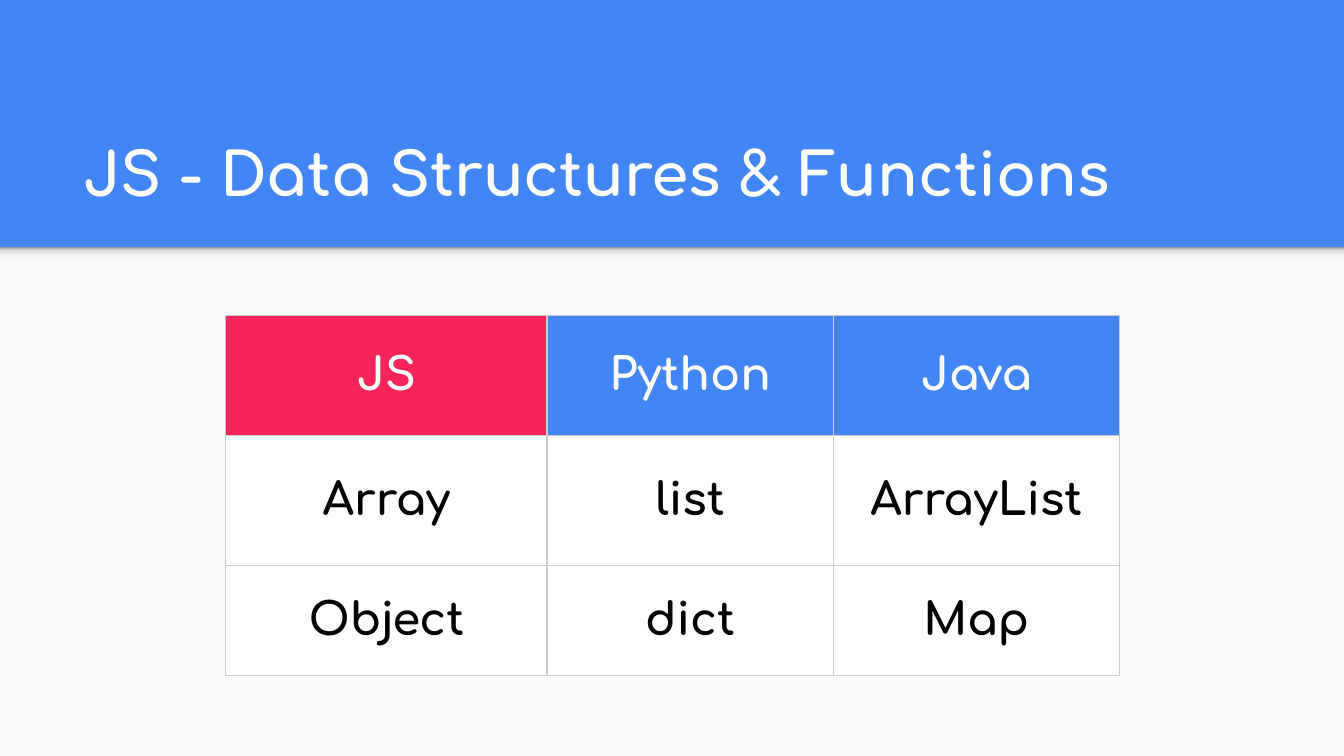
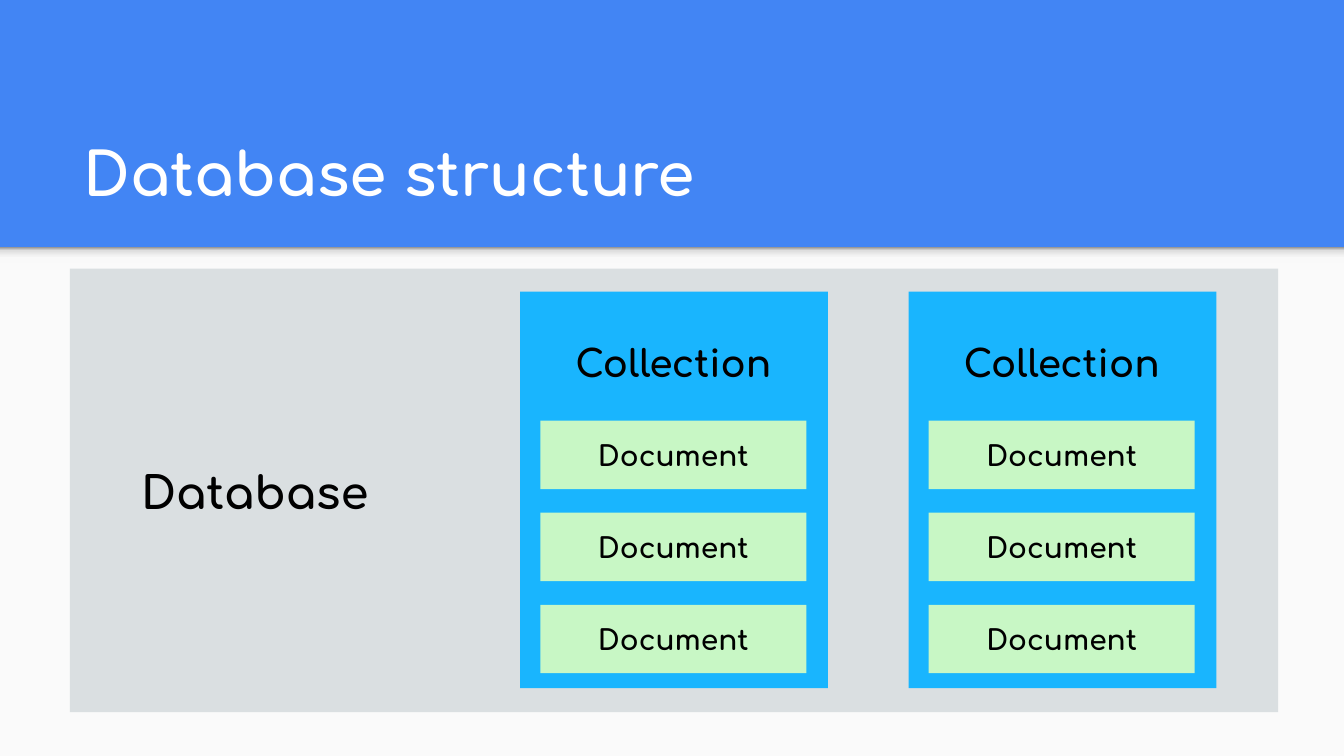
"""Build two slides: a table of data structures and a nested database diagram."""
import pptx
import pptx.dml.color
import pptx.enum.shapes
import pptx.enum.text
import pptx.oxml
import pptx.oxml.ns
import pptx.util
import lxml.etree

WIDE = 10
HIGH = WIDE * 9 / 16
FONT = "Comfortaa"
HUE = {
    "blue": "4285F4", "paper": "FAFAFA", "white": "FFFFFF", "black": "000000",
    "red": "F62459", "line": "CCCCCC", "grey": "DADFE1", "sky": "19B5FE",
    "green": "C8F7C5",
}
SHADE = [(0, "F9F9F9"), (36, "F9F9F9"), (80, "DEDEDE"), (100, "999999")]
TITLES = ["JS - Data Structures & Functions", "Database structure"]

ROWS = [
    ["JS", "Python", "Java"],
    ["Array", "list", "ArrayList"],
    ["Object", "dict", "Map"],
]
HEADS = ["red", "blue", "blue"]
COLS = [2.39, 2.13, 2.13]
TALL = [0.89, 0.97, 0.82]

GROUPS = [("Collection", ["Document"] * 3)] * 2
LEFT, SPAN = 0.52, 8.99
BAND = 1.84
PAD = 0.15
FIRST, LAST = 3.13, 4.5

inch = pptx.util.Inches
ALIGN = pptx.enum.text.PP_ALIGN
ANCHOR = pptx.enum.text.MSO_ANCHOR
RECT = pptx.enum.shapes.MSO_SHAPE.RECTANGLE


def tint(name):
    return pptx.dml.color.RGBColor.from_string(HUE[name])


def style(frame, text, size, hue, align):
    frame.text = text
    para = frame.paragraphs[0]
    para.alignment = align
    for run in para.runs:
        run.font.name = FONT
        run.font.size = pptx.util.Pt(size)
        run.font.bold = True
        run.font.color.rgb = tint(hue)


def inset(part):
    part.margin_left = part.margin_right = inch(0.1)
    part.margin_top = part.margin_bottom = inch(0.1)
    part.vertical_anchor = ANCHOR.MIDDLE


def label(shape, text, size):
    frame = shape.text_frame
    frame.word_wrap = True
    inset(frame)
    style(frame, text, size, "black", ALIGN.CENTER)


def box(slide, at, hue):
    shape = slide.shapes.add_shape(RECT, *map(inch, at))
    shape.shadow.inherit = False
    shape.fill.solid()
    shape.fill.fore_color.rgb = tint(hue)
    shape.line.fill.background()
    return shape


def note(slide, at, text, size):
    label(slide.shapes.add_textbox(*map(inch, at)), text, size)


def fade(shape):
    shape.fill.gradient()
    shape.fill.gradient_angle = 90
    name = pptx.oxml.ns.qn
    stops = shape.element.spPr.find(".//" + name("a:gsLst"))
    for stop in list(stops):
        stops.remove(stop)
    for place, code in SHADE:
        stop = lxml.etree.SubElement(stops, name("a:gs"), pos=str(place * 1000))
        lxml.etree.SubElement(stop, name("a:srgbClr"), val=code)


def start(deck, title):
    slide = deck.slides.add_slide(deck.slide_layouts[5])
    slide.background.fill.solid()
    slide.background.fill.fore_color.rgb = tint("blue")
    box(slide, (0, BAND, WIDE, HIGH - BAND), "paper")
    fade(box(slide, (0, BAND, WIDE, 0.12), "paper"))
    head = slide.shapes.title
    head.left, head.top, head.width, head.height = map(inch, (LEFT, 0.81, SPAN, 0.84))
    frame = head.text_frame
    inset(frame)
    frame.vertical_anchor = ANCHOR.BOTTOM
    frame.auto_size = pptx.enum.text.MSO_AUTO_SIZE.NONE
    style(frame, title, 32, "white", ALIGN.LEFT)
    return slide


def edge(cell):
    props = cell._tc.get_or_add_tcPr()
    for spot, side in enumerate("LRTB"):
        props.insert(spot, pptx.oxml.parse_xml(
            f'<a:ln{side} {pptx.oxml.ns.nsdecls("a")} w="9525"><a:solidFill>'
            f'<a:srgbClr val="{HUE["line"]}"/></a:solidFill></a:ln{side}>'))


def grid(slide):
    at = (1.68, 2.35, sum(COLS), sum(TALL))
    table = slide.shapes.add_table(len(ROWS), len(COLS), *map(inch, at)).table
    table.first_row = table.horz_banding = False
    for col, width in zip(table.columns, COLS):
        col.width = inch(width)
    for i, (row, height) in enumerate(zip(table.rows, TALL)):
        row.height = inch(height)
        for j, cell in enumerate(row.cells):
            inset(cell)
            style(cell.text_frame, ROWS[i][j], 24, "black" if i else "white", ALIGN.CENTER)
            cell.fill.solid()
            cell.fill.fore_color.rgb = tint("white" if i else HEADS[j])
            edge(cell)


def nest(slide):
    box(slide, (LEFT, 2, SPAN, 3.3), "grey")
    note(slide, (LEFT, 3.37, 2.75, 0.57), "Database", 24)
    for i, (name, docs) in enumerate(GROUPS):
        x = 3.87 + i * 2.89
        box(slide, (x, 2.17, 2.29, 2.95), "sky")
        note(slide, (x + PAD, 2.44, 1.98, 0.51), name, 20)
        step = (LAST - FIRST) / (len(docs) - 1)
        for j, doc in enumerate(docs):
            label(box(slide, (x + PAD, FIRST + j * step, 1.98, 0.51), "green"), doc, 15)


def main():
    deck = pptx.Presentation()
    deck.slide_width, deck.slide_height = inch(WIDE), inch(HIGH)
    for title, draw in zip(TITLES, (grid, nest)):
        draw(start(deck, title))
    deck.save("out.pptx")


if __name__ == "__main__":
    main()
